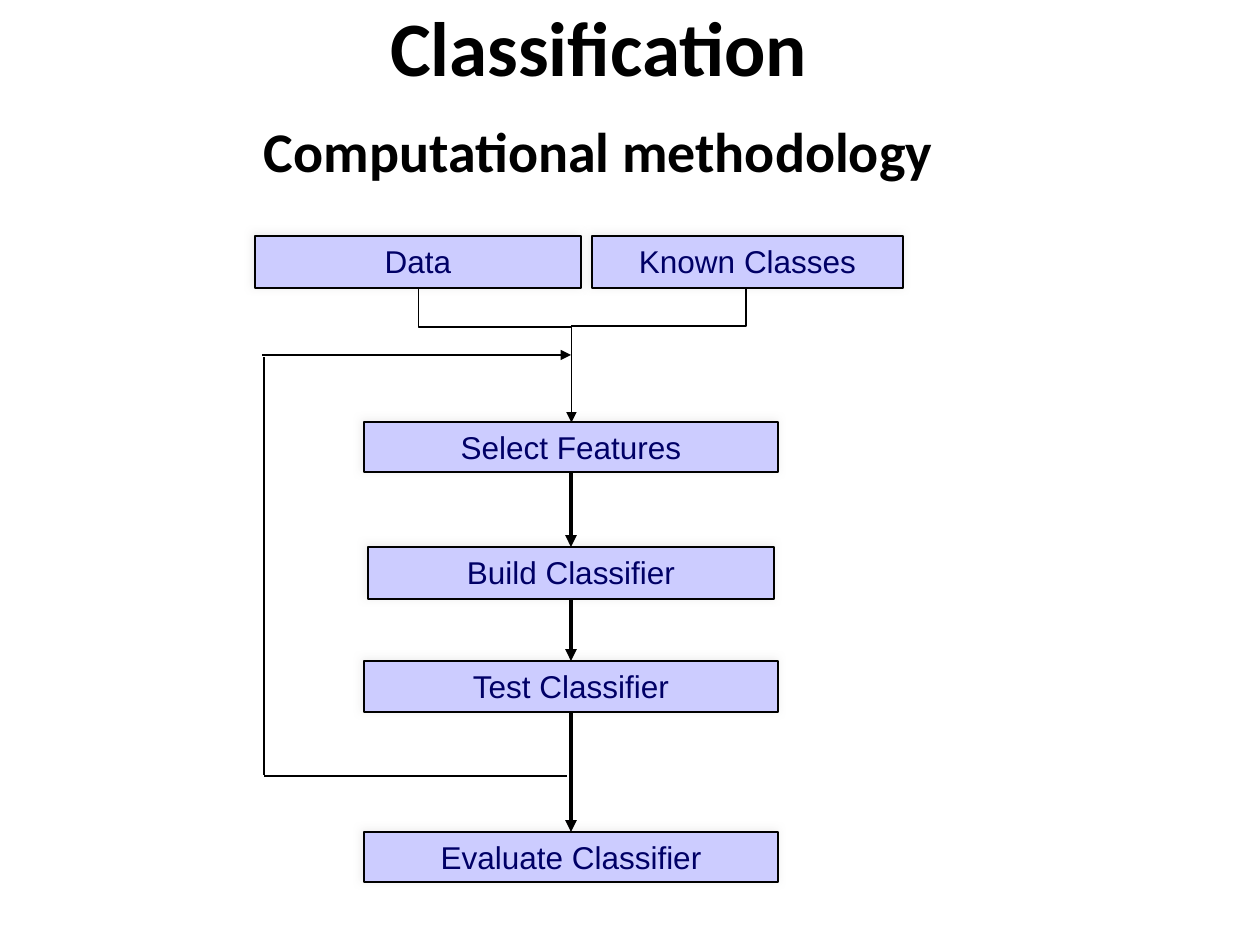
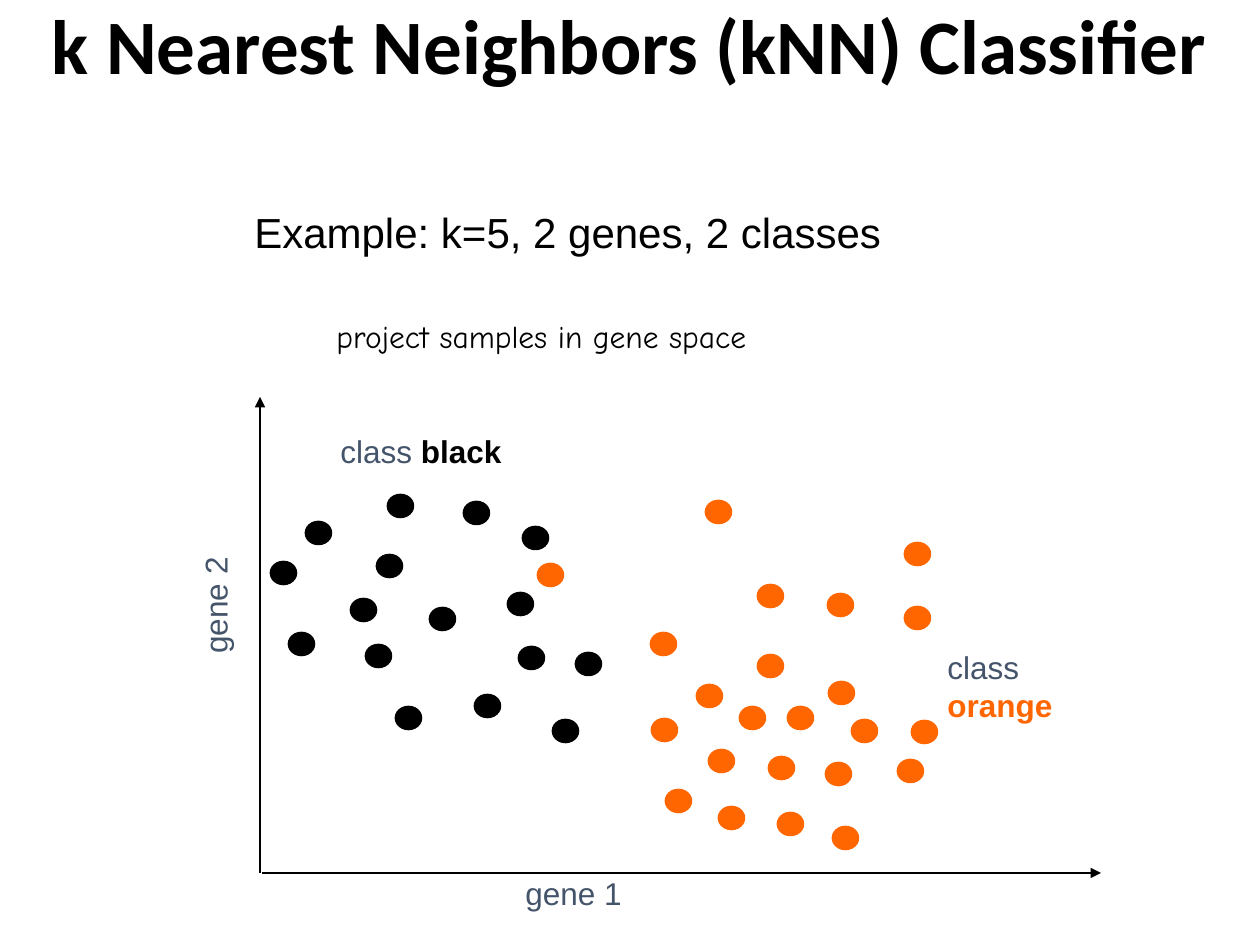
from lxml.etree import SubElement
from pptx import Presentation
from pptx.dml.color import RGBColor
from pptx.enum.shapes import MSO_CONNECTOR, MSO_SHAPE
from pptx.enum.text import MSO_ANCHOR, PP_ALIGN
from pptx.oxml.ns import qn
from pptx.util import Inches, Pt

PX = 7257  # EMU in one px, 126 px to the inch
BLACK, ORANGE, SLATE = "000000", "FF6600", "44546A"
BOX_FILL, BOX_TEXT, BOX_SHADOW = "CCCCFF", "000066", "E7E6E6"
color_of = RGBColor.from_string


def write(shape, text, size=18, font="Arial", color=BLACK, bold=False,
          align=PP_ALIGN.LEFT, anchor=MSO_ANCHOR.TOP, wrap=True, spacing=None):
    """Append a formatted run to the first paragraph of the shape."""
    frame = shape.text_frame
    frame.word_wrap = wrap
    frame.vertical_anchor = anchor
    paragraph = frame.paragraphs[0]
    paragraph.alignment = align
    paragraph.line_spacing = spacing
    run = paragraph.add_run()
    run.text = text
    run.font.size = Pt(size)
    run.font.name = font
    run.font.bold = bold
    run.font.color.rgb = color_of(color)


def add_line(slide, points, width, arrow=False, kind=MSO_CONNECTOR.STRAIGHT, bend=None):
    connector = slide.shapes.add_connector(kind, *(value * PX for value in points))
    connector.line.color.rgb = color_of(BLACK)
    connector.line.width = Pt(width)
    properties = connector._element.spPr
    if arrow:
        SubElement(properties.find(qn("a:ln")), qn("a:tailEnd"), type="triangle")
    if bend is not None:
        guides = properties.find(qn("a:prstGeom")).find(qn("a:avLst"))
        SubElement(guides, qn("a:gd"), name="adj1", fmla=f"val {bend}")
    SubElement(properties, qn("a:effectLst"))
    return connector


presentation = Presentation()
presentation.slide_width, presentation.slide_height = Inches(10), Inches(7.5)
title_only = presentation.slide_layouts[5]

slides = []
for text, left, top, width in [
    ("Classification", 32, 6, 1134),
    ("k Nearest Neighbors (kNN) Classifier", 0, 4, 1260),
]:
    slide = presentation.slides.add_slide(title_only)
    title = slide.shapes.title
    title.left, title.top = left * PX, top * PX
    title.width, title.height = width * PX, 91 * PX
    write(title, text, size=44, font="Calibri", bold=True, align=PP_ALIGN.CENTER,
          anchor=MSO_ANCHOR.MIDDLE, spacing=0.9)
    slides.append(slide)
method_slide, neighbors_slide = slides

# Slide 1: flow chart of the method
boxes = {}
for text, left, top, width, height in [
    ("Data", 255, 236, 326, 52),
    ("Known Classes", 592, 236, 311, 52),
    ("Select Features", 364, 422, 414, 50),
    ("Build Classifier", 368, 547, 406, 52),
    ("Test Classifier", 364, 661, 414, 51),
    ("Evaluate Classifier", 364, 832, 414, 50),
]:
    box = method_slide.shapes.add_shape(
        MSO_SHAPE.RECTANGLE, left * PX, top * PX, width * PX, height * PX)
    box.fill.solid()
    box.fill.fore_color.rgb = color_of(BOX_FILL)
    box.line.color.rgb = color_of(BLACK)
    box.line.width = Pt(0.75)
    box.shadow.inherit = False
    shadow = SubElement(box._element.spPr.find(qn("a:effectLst")), qn("a:outerShdw"),
                        blurRad=str(Pt(5)), dist=str(Pt(1.4)), dir=str(225 * 60000))
    shadow_color = SubElement(shadow, qn("a:srgbClr"), val=BOX_SHADOW)
    SubElement(shadow_color, qn("a:alpha"), val="75000")
    write(box, text, color=BOX_TEXT, align=PP_ALIGN.CENTER)
    boxes[text] = box

steps = list(boxes.values())[2:]
for step, next_step in zip(steps, steps[1:]):
    arrow = add_line(method_slide, (0, 0, 0, 0), 2.25, arrow=True)
    arrow.begin_connect(step, 2)
    arrow.end_connect(next_step, 0)

add_line(method_slide, (567, 776, 264, 776), 1.5)
add_line(method_slide, (264, 775, 264, 357), 1.5)
add_line(method_slide, (262, 355, 571, 355), 1.5, arrow=True)

# The frame of the data arrow is turned a quarter so that it leaves downwards
data_arrow = add_line(method_slide, (428, 279, 562, 432), 1, arrow=True,
                      kind=MSO_CONNECTOR.ELBOW, bend=28600)
frame = data_arrow._element.spPr.find(qn("a:xfrm"))
frame.set("rot", str(270 * 60000))
frame.set("flipH", "1")
add_line(method_slide, (747, 289, 571, 326), 1, kind=MSO_CONNECTOR.ELBOW, bend=500)

subtitle = method_slide.shapes.add_textbox(213 * PX, 110 * PX, 771 * PX, 72 * PX)
write(subtitle, "Computational methodology", size=32, font="Calibri", bold=True,
      align=PP_ALIGN.CENTER)

# Slide 2: samples of two classes in gene space
add_line(neighbors_slide, (262, 873, 1101, 873), 1.5, arrow=True)
add_line(neighbors_slide, (260, 873, 260, 397), 1.5, arrow=True)

DOT_WIDTH, DOT_HEIGHT = 25, 22
sample_centers = {
    ORANGE: [
        (718, 512), (917, 554), (770, 596), (840, 605), (917, 618), (663, 644),
        (770, 666), (709, 696), (841, 693), (752, 718), (800, 718), (664, 730),
        (864, 731), (924, 732), (721, 761), (781, 768), (838, 774), (910, 771),
        (678, 801), (731, 818), (790, 824), (845, 838), (550, 575),
    ],
    BLACK: [
        (400, 506), (476, 513), (535, 538), (318, 533), (283, 573), (389, 566),
        (363, 610), (442, 619), (520, 604), (301, 644), (378, 656), (531, 658),
        (588, 664), (487, 706), (408, 718), (565, 731),
    ],
}
for color, centers in sample_centers.items():
    for x, y in centers:
        dot = neighbors_slide.shapes.add_shape(
            MSO_SHAPE.OVAL, (x - DOT_WIDTH // 2) * PX, (y - DOT_HEIGHT // 2) * PX,
            DOT_WIDTH * PX, DOT_HEIGHT * PX)
        dot.fill.solid()
        dot.fill.fore_color.rgb = color_of(color)
        dot.line.color.rgb = color_of(color)
        dot.line.width = Pt(1.5)
        dot.shadow.inherit = False

labels = {}
for text, left, top, width, height, style in [
    ("project samples in gene space", 324, 311, 461, 50, {"font": "Comic Neue"}),
    ("gene 1", 513, 868, 122, 50, {"color": SLATE}),
    ("gene 2", 154, 580, 122, 50, {"color": SLATE}),
    ("class ", 935, 642, 210, 50, {"color": SLATE}),
    ("class ", 328, 426, 186, 50, {"color": SLATE}),
    ("Example: k=5, 2 genes, 2 classes", 242, 200, 819, 63, {"size": 24}),
]:
    label = neighbors_slide.shapes.add_textbox(
        left * PX, top * PX, width * PX, height * PX)
    # Class names follow in bold, so these boxes must not wrap
    write(label, text, wrap=text != "class ", **style)
    labels[text, left] = label
labels["gene 2", 154].rotation = 270
write(labels["class ", 935], "orange", color=ORANGE, bold=True, wrap=False)
write(labels["class ", 328], "black", bold=True, wrap=False)

presentation.save("out.pptx")
